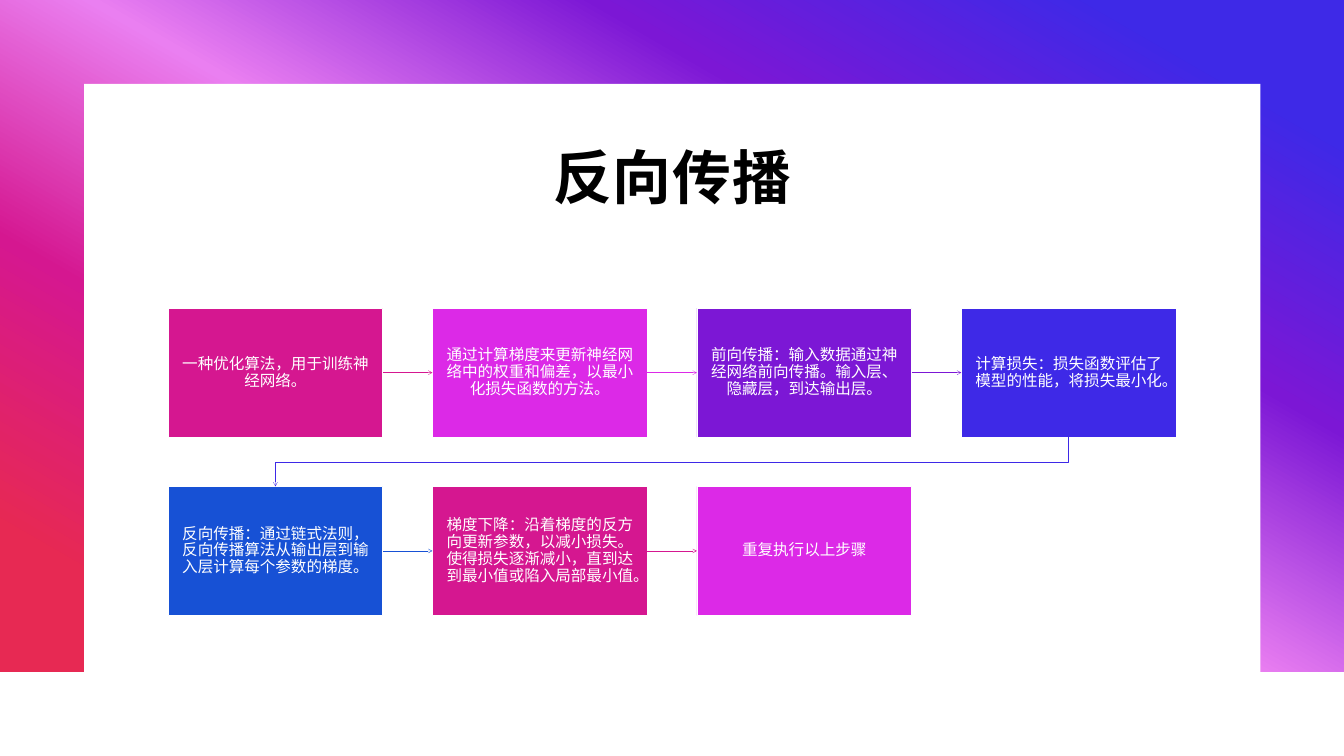
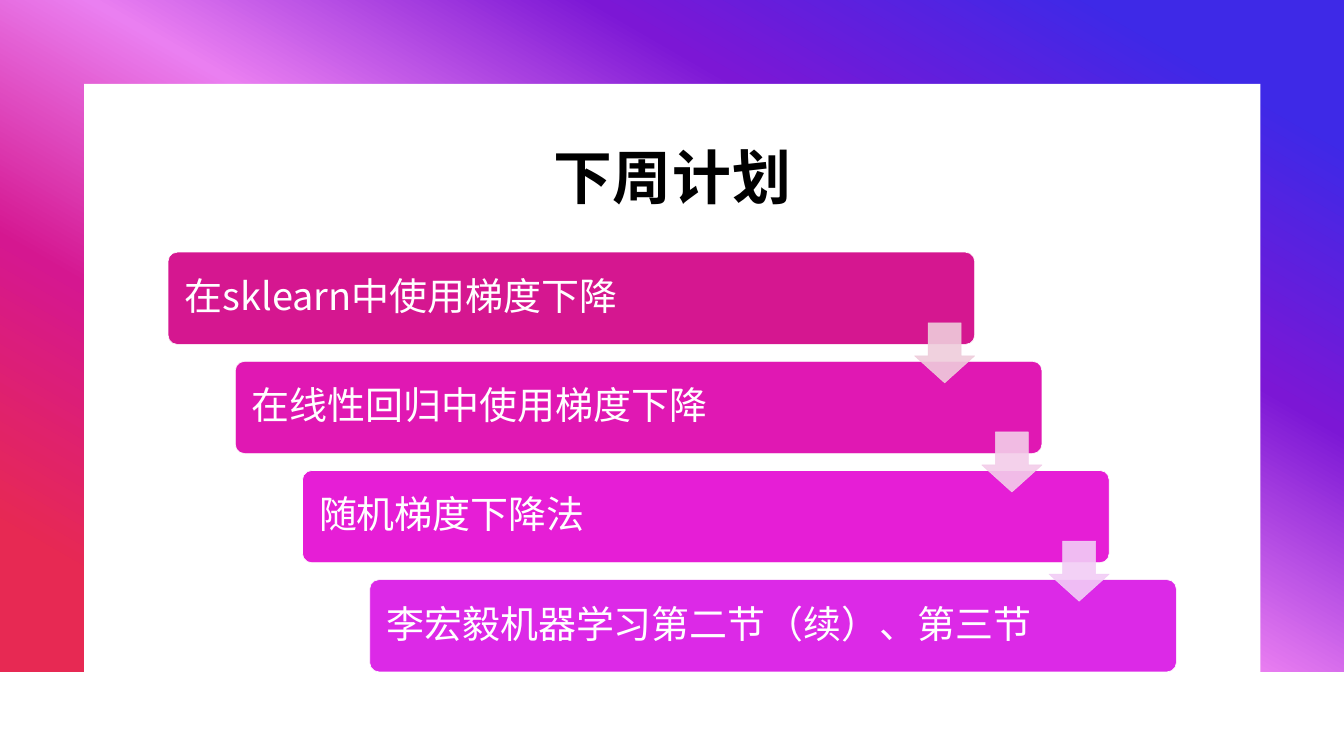
from lxml import etree
from pptx import Presentation
from pptx.dml.color import RGBColor
from pptx.enum import shapes, text
from pptx.oxml import ns
from pptx.util import Pt

COLOURS = {
    "white": "FFFFFF", "black": "000000", "red": "E72953",
    "crimson": "D51790", "rose": "E018B3", "fuchsia": "E61ED6",
    "magenta": "DC29E7", "pink": "EA7FF1", "violet": "7C17D5",
    "indigo": "3E29E7", "blue": "1751D5",
    "pale rose": "EFCCDB", "pale pink": "F3CDE9", "pale violet": "F2CDF6",
}
FONT = "Noto Sans CJK SC"
WIDTH, HEIGHT = 2159.28, 1215.36
GRADIENT = [(10, "indigo"), (30, "violet"), (50, "pink"), (70, "crimson"), (90, "red")]
PRESET = shapes.MSO_SHAPE


def add_block(slide, preset, place, colour, outline=None):
    block = slide.shapes.add_shape(preset, *[Pt(length) for length in place])
    block.shadow.inherit = False
    block.fill.solid()
    block.fill.fore_color.rgb = RGBColor.from_string(COLOURS[colour])
    if outline:
        block.line.color.rgb = RGBColor.from_string(COLOURS[outline])
        block.line.width = Pt(1)
    else:
        block.line.fill.background()
    return block


def write(holder, words, size, colour, align, insets):
    frame = holder.text_frame
    frame.word_wrap = True
    frame.vertical_anchor = text.MSO_ANCHOR.MIDDLE
    frame.margin_left, frame.margin_top, frame.margin_right, frame.margin_bottom = map(Pt, insets)
    paragraph = frame.paragraphs[0]
    paragraph.alignment = align
    run = paragraph.add_run()
    run.text = words
    run.font.size = Pt(size)
    run.font.color.rgb = RGBColor.from_string(COLOURS[colour])
    run.font.name = FONT
    properties = run._r.get_or_add_rPr()
    properties.set("lang", "zh-CN")
    etree.SubElement(properties, ns.qn("a:ea")).set("typeface", FONT)
    return paragraph, run


deck = Presentation()
deck.slide_width, deck.slide_height = Pt(WIDTH), Pt(HEIGHT)

pages = []
for heading in ["反向传播", "下周计划"]:
    page = deck.slides.add_slide(deck.slide_layouts[6])
    backdrop = add_block(page, PRESET.RECTANGLE, (0, -1.44, WIDTH, 1081.44), "indigo")
    backdrop.fill.gradient()
    backdrop.fill.gradient_angle = 240
    stops = backdrop._element.spPr.find(".//" + ns.qn("a:gsLst"))
    for stop in list(stops):
        stops.remove(stop)
    for position, name in GRADIENT:
        stop = etree.SubElement(stops, ns.qn("a:gs"), pos=str(position * 1000))
        etree.SubElement(stop, ns.qn("a:srgbClr"), val=COLOURS[name])
    add_block(page, PRESET.RECTANGLE, (135, 135, 1890, 945), "white")
    title = page.shapes.add_textbox(Pt(270), Pt(201), Pt(1620), Pt(163.5))
    _, title_run = write(title, heading, 94.5, "black", text.PP_ALIGN.CENTER, (8.6, 8.6, 8.6, 7.2))
    title_run.font.bold = True
    title_run._r.get_or_add_rPr().set("spc", "160")
    pages.append(page)

backpropagation, plan = pages

steps = [
    ("一种优化算法，用于训练神经网络。", "crimson"),
    ("通过计算梯度来更新神经网络中的权重和偏差，以最小化损失函数的方法。", "magenta"),
    ("前向传播：输入数据通过神经网络前向传播。输入层、隐藏层，到达输出层。", "violet"),
    ("计算损失：损失函数评估了模型的性能，将损失最小化。", "indigo"),
    ("反向传播：通过链式法则，反向传播算法从输出层到输入层计算每个参数的梯度。", "blue"),
    ("梯度下降：沿着梯度的反方向更新参数，以减小损失。使得损失逐渐减小，直到达到最小值或陷入局部最小值。", "crimson"),
    ("重复执行以上步骤", "magenta"),
]
COLUMNS = 4
STEP_W, STEP_H = 345, 207.4
boxes = []
for index, (words, colour) in enumerate(steps):
    row, column = divmod(index, COLUMNS)
    place = (270 + column * 424.8, 495.4 + row * 286.6, STEP_W, STEP_H)
    box = add_block(backpropagation, PRESET.RECTANGLE, place, colour, "white")
    paragraph, _ = write(box, words, 25, "white", text.PP_ALIGN.CENTER, (16.6, 18, 16.6, 18))
    paragraph.line_spacing = 0.9
    boxes.append(box)

for index, (source, target) in enumerate(zip(boxes, boxes[1:])):
    if (index + 1) % COLUMNS:
        link = backpropagation.shapes.add_connector(shapes.MSO_CONNECTOR.STRAIGHT, 0, 0, 0, 0)
        link.begin_connect(source, 3)
        link.end_connect(target, 1)
    else:
        drop = target.top - source.top - source.height
        run_length = source.left - target.left
        middle_x = (source.left + target.left + source.width) // 2
        middle_y = target.top - drop // 2
        link = backpropagation.shapes.add_connector(
            shapes.MSO_CONNECTOR.ELBOW,
            middle_x - drop // 2, middle_y - run_length // 2,
            middle_x + drop // 2, middle_y + run_length // 2)
        link._element.spPr.find(ns.qn("a:xfrm")).set("rot", "5400000")
    link.line.color.rgb = RGBColor.from_string(COLOURS[steps[index][1]])
    link.line.width = Pt(0.5)
    etree.SubElement(link.line._get_or_add_ln(), ns.qn("a:tailEnd"), type="arrow")
    etree.SubElement(link._element.spPr, ns.qn("a:effectLst"))

tasks = [
    ("在sklearn中使用梯度下降", "crimson"),
    ("在线性回归中使用梯度下降", "rose"),
    ("随机梯度下降法", "fuchsia"),
    ("李宏毅机器学习第二节（续）、第三节", "magenta"),
]
BAR_W, BAR_H, ARROW = 1296, 148.3, 96.5
bar_places = [(270 + index * 108, 405.4 + index * 175.5) for index in range(len(tasks))]
for (words, colour), (left, top) in zip(tasks, bar_places):
    bar = add_block(plan, PRESET.ROUNDED_RECTANGLE, (left, top, BAR_W, BAR_H), colour, "white")
    bar.adjustments[0] = 0.1
    paragraph, _ = write(bar, words, 61, "white", text.PP_ALIGN.LEFT, (22.3, 18, 22.3, 18))
    paragraph.line_spacing = 0.9

for colour, (left, top) in zip(["pale rose", "pale pink", "pale violet"], bar_places):
    place = (left + BAR_W - ARROW, top + 113.6, ARROW, ARROW)
    arrow = add_block(plan, PRESET.DOWN_ARROW, place, colour, colour)
    arrow.adjustments[0], arrow.adjustments[1] = 0.55, 0.45
    for tint in arrow._element.spPr.iter(ns.qn("a:srgbClr")):
        etree.SubElement(tint, ns.qn("a:alpha"), val="90000")

deck.save("out.pptx")
